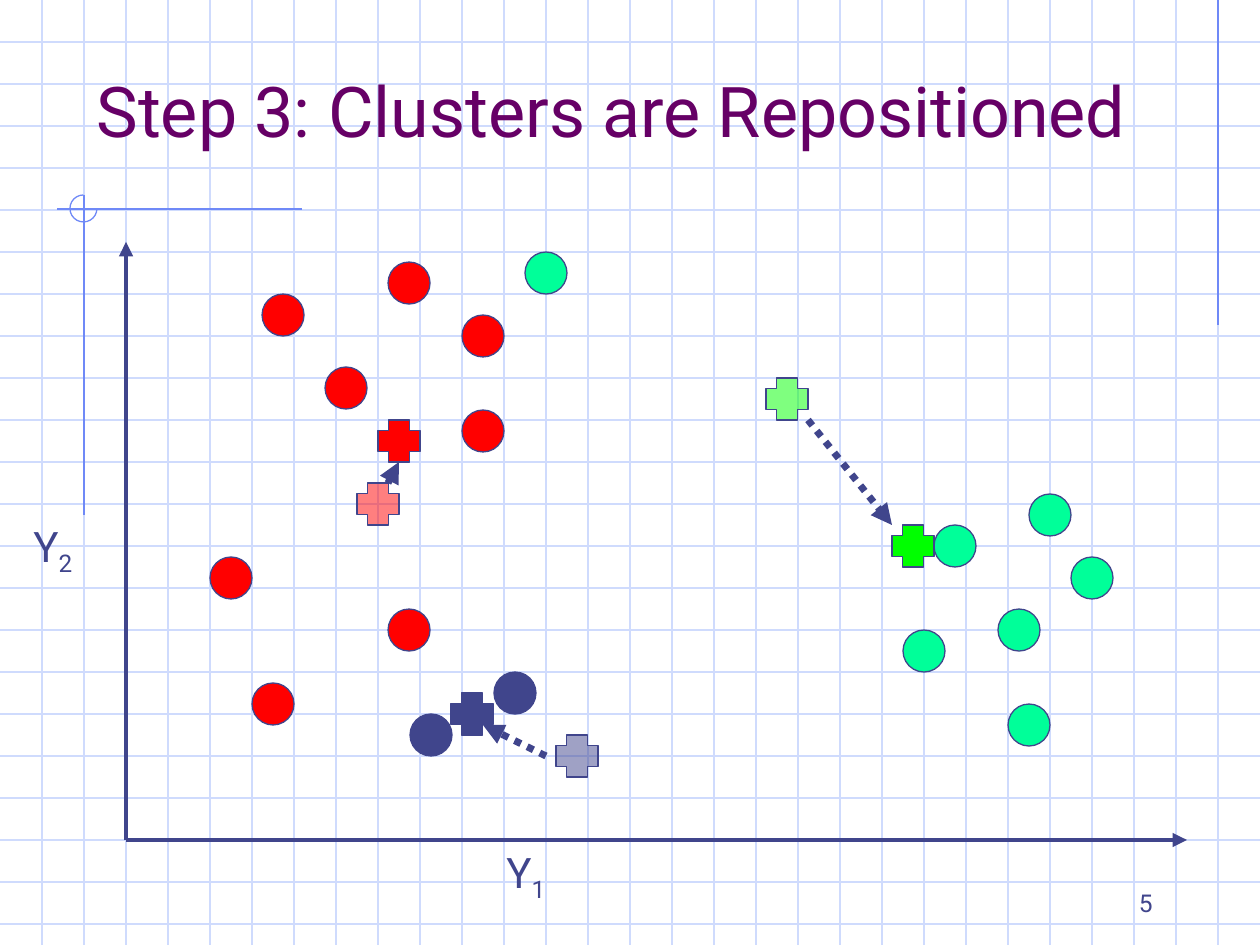
from lxml.etree import SubElement
from pptx import Presentation
from pptx.dml.color import RGBColor
from pptx.enum.dml import MSO_LINE
from pptx.enum.shapes import MSO_CONNECTOR, MSO_SHAPE
from pptx.enum.text import MSO_ANCHOR, MSO_AUTO_SIZE, PP_ALIGN
from pptx.oxml.ns import qn
from pptx.util import Emu, Pt

WIDE, HIGH, CELL = 1260, 945, 42
NAVY = RGBColor(0x40, 0x45, 0x8C)
PLUM = RGBColor(0x66, 0x00, 0x66)
PALE = RGBColor(0xCF, 0xDB, 0xFD)
SKY = RGBColor(0x6F, 0x89, 0xF7)
RED = RGBColor(0xFF, 0x00, 0x00)
MINT = RGBColor(0x00, 0xFF, 0x99)
LIME = RGBColor(0x00, 0xFF, 0x00)

DOTS = {
    RED: [(252, 683), (210, 557), (388, 609), (325, 367),
          (262, 294), (462, 315), (462, 410), (388, 262)],
    NAVY: [(410, 714), (494, 672)],
    MINT: [(525, 252), (1008, 704), (998, 609), (903, 630),
           (934, 525), (1071, 557), (1029, 494)],
}
MOVES = [
    (NAVY, (556, 735), (451, 693), (546, 756, 483, 725)),
    (RED, (357, 483), (378, 420), (388, 483, 399, 462)),
    (LIME, (766, 378), (892, 525), (808, 420, 892, 525)),
]


def px(num):
    """Turn px into EMU."""
    return Emu(round(num * 914400 / 126))


def style(item, vals):
    """Set each named value on an item."""
    for name, val in vals.items():
        setattr(item, name, val)


def rule(slide, ends, color, width=0.75, tip=False, dash=None):
    """Draw a straight line, with an arrowhead if asked."""
    line = slide.shapes.add_connector(MSO_CONNECTOR.STRAIGHT, *map(px, ends))
    line.line.color.rgb = color
    style(line.line, {"width": Pt(width), "dash_style": dash})
    if tip:
        SubElement(line.line._get_or_add_ln(), qn("a:tailEnd"), type="triangle")
    SubElement(line._element.spPr, qn("a:effectLst"))


def mark(slide, kind, spot, fill, edge=NAVY, size=CELL, alpha=None):
    """Draw a square-sided shape and return it."""
    item = slide.shapes.add_shape(kind, *map(px, (*spot, size, size)))
    item.shadow.inherit = False
    item.line.color.rgb = edge
    item.line.width = Pt(0.75)
    if fill is None:
        item.fill.background()
        return item
    item.fill.solid()
    item.fill.fore_color.rgb = fill
    if alpha:
        tint = item._element.spPr.find(qn("a:solidFill"))[0]
        SubElement(tint, qn("a:alpha"), val=str(alpha * 1000))
    return item


def write(frame, text, size, color, sub="", align=PP_ALIGN.LEFT, anchor=MSO_ANCHOR.TOP):
    """Fill a text frame with one line and an optional subscript."""
    style(frame, {"word_wrap": True, "auto_size": MSO_AUTO_SIZE.NONE,
                  "vertical_anchor": anchor})
    para = frame.paragraphs[0]
    para.alignment = align
    for part in filter(None, (text, sub)):
        run = para.add_run()
        run.text = part
        style(run.font, {"name": "Roboto", "size": Pt(size)})
        run.font.color.rgb = color
    if sub:
        run._r.get_or_add_rPr().set("baseline", "-25000")


def label(slide, box, text, size, **opts):
    """Add a navy text box."""
    item = slide.shapes.add_textbox(*map(px, box))
    write(item.text_frame, text, size, NAVY, **opts)


def paper(slide):
    """Draw the squared paper and its trim lines."""
    for top in range(CELL, HIGH, CELL):
        rule(slide, (0, top, WIDE, top), PALE)
    for left in range(CELL, WIDE, CELL):
        rule(slide, (left, 0, left, HIGH), PALE)
    for ends in ((1218, 0, 1218, 325), (302, 209, 57, 209), (84, 195, 84, 515)):
        rule(slide, ends, SKY)
    arc = mark(slide, MSO_SHAPE.ARC, (70, 195), None, SKY, 27)
    arc.adjustments[0], arc.adjustments[1] = 0, 162


def head(slide, text):
    """Place the title above the paper."""
    title = slide.shapes.title
    slide.shapes._spTree.append(title._element)
    style(title, dict(zip(("left", "top", "width", "height"),
                          map(px, (84, 0, 1134, 158)))))
    write(title.text_frame, text, 40, PLUM, anchor=MSO_ANCHOR.BOTTOM)


def plot(slide):
    """Draw the axes, points and moving centres."""
    for ends in ((126, 840, 1187, 840), (126, 840, 126, 242)):
        rule(slide, ends, NAVY, 2.75, True)
    for color, spots in DOTS.items():
        for spot in spots:
            mark(slide, MSO_SHAPE.FLOWCHART_CONNECTOR, spot, color)
    for color, old, new, ends in MOVES:
        for spot, alpha in ((old, 50), (new, None)):
            mark(slide, MSO_SHAPE.CROSS, spot, color, alpha=alpha)
        rule(slide, ends, NAVY, 4, True, MSO_LINE.ROUND_DOT)


def main():
    """Build and save the slide."""
    deck = Presentation()
    style(deck, {"slide_width": px(WIDE), "slide_height": px(HIGH)})
    slide = deck.slides.add_slide(deck.slide_layouts[5])
    paper(slide)
    head(slide, "Step 3: Clusters are Repositioned")
    plot(slide)
    label(slide, (494, 840, 231, 70), "Y", 24, sub="1")
    label(slide, (21, 514, 126, 70), "Y", 24, sub="2")
    label(slide, (903, 861, 262, 63), "5", 14,
          align=PP_ALIGN.RIGHT, anchor=MSO_ANCHOR.BOTTOM)
    deck.save("out.pptx")


if __name__ == "__main__":
    main()
